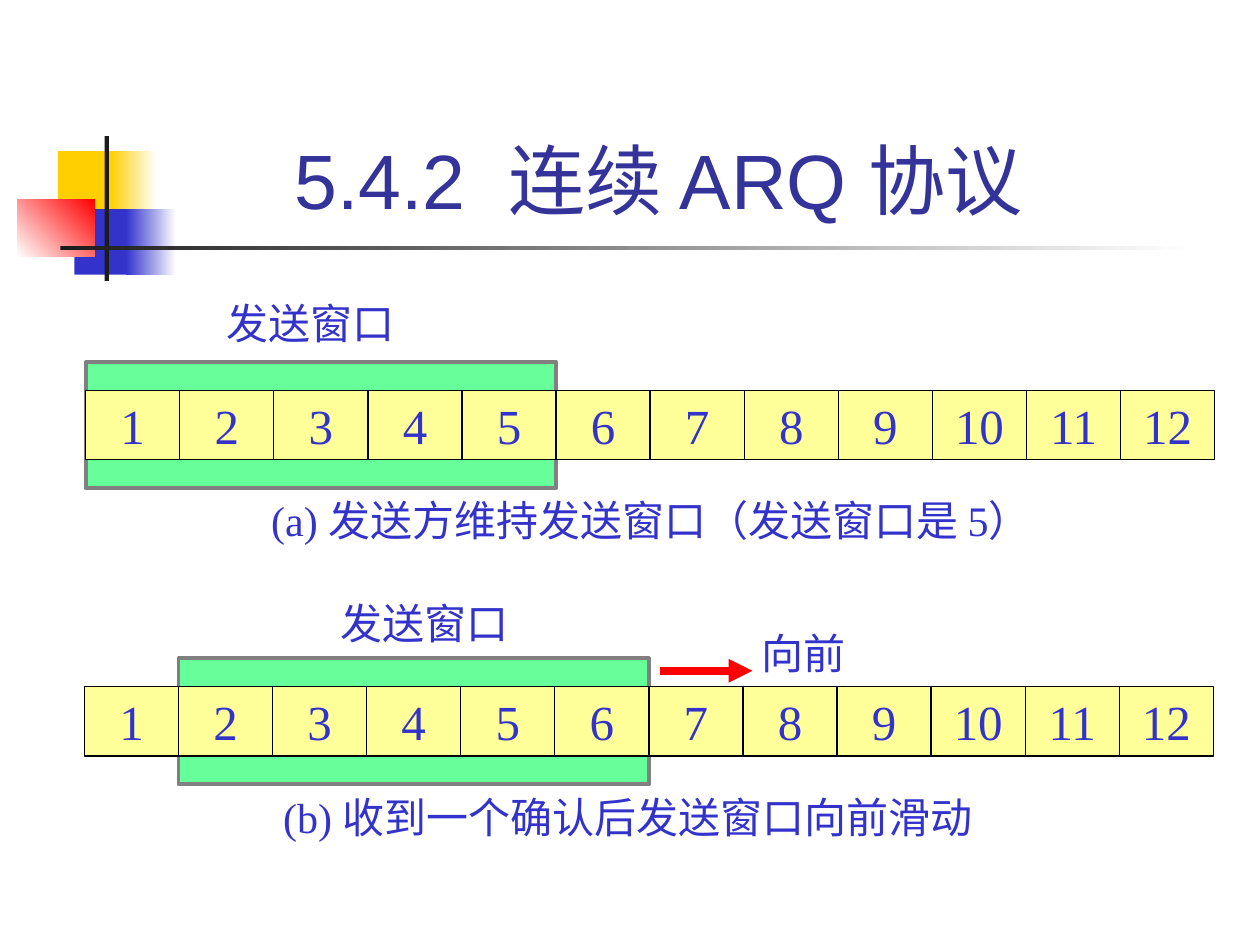
from dataclasses import dataclass
from typing import Any, Optional

import pptx
import pptx.dml.color
import pptx.enum.shapes
import pptx.enum.text
import pptx.oxml.ns
import pptx.util
from lxml import etree

RGBColor = pptx.dml.color.RGBColor
BLACK = RGBColor(0x00, 0x00, 0x00)
WHITE = RGBColor(0xFF, 0xFF, 0xFF)
CHARCOAL = RGBColor(0x1C, 0x1C, 0x1C)
GREY = RGBColor(0x80, 0x80, 0x80)
GOLD = RGBColor(0xFF, 0xCF, 0x01)
RED = RGBColor(0xFF, 0x00, 0x00)
BLUE = RGBColor(0x33, 0x33, 0xCC)
NAVY = RGBColor(0x33, 0x33, 0x99)
GREEN = RGBColor(0x66, 0xFF, 0x99)
YELLOW = RGBColor(0xFF, 0xFF, 0x99)

SLIDE_WIDTH = pptx.util.Inches(10)
SLIDE_HEIGHT = pptx.util.Inches(7.5)
FRAME_COUNT = 12
WINDOW_SIZE = 5
COLUMN = pptx.util.Inches(8.96) // FRAME_COUNT
ROW = pptx.util.Inches(0.55)
WINDOW_TOP = -0.41
WINDOW_ROWS = 1.82
LABEL_ROWS = 0.91


@dataclass(frozen=True)
class Area:
    left: int
    top: int
    width: int
    height: int


@dataclass(frozen=True)
class Ornament:
    """A title decoration, placed in percent of the slide's size."""
    left: float
    top: float
    width: float
    height: float
    start: RGBColor
    end: Optional[RGBColor] = None
    angle: float = 0


@dataclass(frozen=True)
class Label:
    """A text placed in columns and rows from its strip's corner."""
    text: str
    column: float
    row: float
    columns: float


@dataclass(frozen=True)
class Strip:
    """A row of numbered frames with a sending window behind it."""
    left: float
    top: float
    window_start: int
    labels: tuple[Label, ...]

    def x(self, column: float) -> int:
        return int(pptx.util.Inches(self.left) + column * COLUMN)

    def y(self, row: float) -> int:
        return int(pptx.util.Inches(self.top) + row * ROW)

    def area(self, column: float, row: float, columns: float, rows: float) -> Area:
        return Area(self.x(column), self.y(row), int(columns * COLUMN), int(rows * ROW))


ORNAMENTS = (
    Ornament(4.6, 16, 4.8, 6.93, GOLD),
    Ornament(8.8, 16, 3.6, 6.93, GOLD, WHITE),
    Ornament(5.9, 22.13, 4.6, 6.93, BLUE),
    Ornament(10, 22.13, 4, 6.93, BLUE, WHITE),
    Ornament(1.4, 21.07, 6.1, 6.13, WHITE, RED, 45),
    Ornament(8.3, 14.4, 0.35, 15.33, CHARCOAL),
    Ornament(4.8, 26, 90, 0.45, CHARCOAL, WHITE),
)

STRIPS = (
    Strip(0.68, 3.1, 0, (
        Label("发送窗口", 1.37, -1.44, 2.05),
        Label("(a) 发送方维持发送窗口（发送窗口是 5）", 1.84, 1.41, 8.67),
    )),
    Strip(0.67, 5.45, 1, (
        Label("发送窗口", 2.59, -1.38, 2.05),
        Label("(b) 收到一个确认后发送窗口向前滑动", 1.98, 1.42, 7.7),
        Label("向前", 7.07, -0.95, 1.18),
    )),
)


def add_rectangle(page: Any, area: Area) -> Any:
    rectangle = page.shapes.add_shape(
        pptx.enum.shapes.MSO_SHAPE.RECTANGLE,
        area.left, area.top, area.width, area.height)
    rectangle.shadow.inherit = False
    return rectangle


def add_panel(page: Any, area: Area, fill: RGBColor, outline: RGBColor, weight: float) -> None:
    panel = add_rectangle(page, area)
    panel.fill.solid()
    panel.fill.fore_color.rgb = fill
    panel.line.color.rgb = outline
    panel.line.width = pptx.util.Pt(weight)


def add_ornament(page: Any, ornament: Ornament) -> None:
    shape = add_rectangle(page, Area(
        int(SLIDE_WIDTH * ornament.left / 100), int(SLIDE_HEIGHT * ornament.top / 100),
        int(SLIDE_WIDTH * ornament.width / 100), int(SLIDE_HEIGHT * ornament.height / 100)))
    shape.line.fill.background()
    if ornament.end is None:
        shape.fill.solid()
        shape.fill.fore_color.rgb = ornament.start
        return
    shape.fill.gradient()
    shape.fill.gradient_angle = ornament.angle
    for stop, color in zip(shape.fill.gradient_stops, (ornament.start, ornament.end)):
        stop.color.rgb = color


def add_text(page: Any, area: Area, text: str, size: float, centred: bool = False) -> None:
    box = page.shapes.add_textbox(area.left, area.top, area.width, area.height)
    frame = box.text_frame
    frame.word_wrap = False
    para = frame.paragraphs[0]
    para.text = text
    para.font.name = "Times New Roman"
    para.font.size = pptx.util.Pt(size)
    para.font.color.rgb = BLUE
    if centred:
        frame.vertical_anchor = pptx.enum.text.MSO_ANCHOR.MIDDLE
        para.alignment = pptx.enum.text.PP_ALIGN.CENTER
    else:
        frame.auto_size = pptx.enum.text.MSO_AUTO_SIZE.SHAPE_TO_FIT_TEXT


def add_line(page: Any, start: tuple[int, int], end: tuple[int, int],
             color: RGBColor, weight: float, arrow: bool = False) -> None:
    line = page.shapes.add_connector(pptx.enum.shapes.MSO_CONNECTOR.STRAIGHT, *start, *end)
    line.line.color.rgb = color
    line.line.width = pptx.util.Pt(weight)
    if arrow:
        outline = line.line._get_or_add_ln()
        etree.SubElement(outline, pptx.oxml.ns.qn("a:tailEnd"), type="triangle")
    etree.SubElement(line._element.spPr, pptx.oxml.ns.qn("a:effectLst"))


def add_strip(page: Any, strip: Strip) -> None:
    window = strip.area(strip.window_start, WINDOW_TOP, WINDOW_SIZE, WINDOW_ROWS)
    add_panel(page, window, GREEN, GREY, 2.25)
    add_panel(page, strip.area(0, 0, FRAME_COUNT, 1), YELLOW, BLACK, 0.75)
    for index in range(FRAME_COUNT):
        add_text(page, strip.area(index, 0, 1, 1), str(index + 1), 28, centred=True)
    for column in range(1, FRAME_COUNT):
        add_line(page, (strip.x(column), strip.y(0)), (strip.x(column), strip.y(1)), BLACK, 0.75)
    for label in strip.labels:
        area = strip.area(label.column, label.row, label.columns, LABEL_ROWS)
        add_text(page, area, label.text, 24)


def set_title(page: Any, text: str) -> None:
    title = page.shapes.title
    title.left, title.top = int(SLIDE_WIDTH * 0.126), int(SLIDE_HEIGHT * 0.032)
    title.width, title.height = int(SLIDE_WIDTH * 0.807), int(SLIDE_HEIGHT * 0.213)
    frame = title.text_frame
    frame.auto_size = pptx.enum.text.MSO_AUTO_SIZE.NONE
    frame.vertical_anchor = pptx.enum.text.MSO_ANCHOR.BOTTOM
    frame.margin_right = pptx.util.Inches(0.24)
    para = frame.paragraphs[0]
    para.text = text
    para.alignment = pptx.enum.text.PP_ALIGN.CENTER
    para.font.name = "Arial"
    para.font.size = pptx.util.Pt(44)
    para.font.color.rgb = NAVY


def main() -> None:
    deck = pptx.Presentation()
    deck.slide_width, deck.slide_height = SLIDE_WIDTH, SLIDE_HEIGHT
    page = deck.slides.add_slide(deck.slide_layouts.get_by_name("Title Only"))
    for ornament in ORNAMENTS:
        add_ornament(page, ornament)
    set_title(page, "5.4.2  连续 ARQ 协议")
    for strip in STRIPS:
        add_strip(page, strip)
    moved = STRIPS[1]
    add_line(page, (moved.x(6.12), moved.y(-0.23)), (moved.x(7.1), moved.y(-0.23)),
             RED, 4.5, arrow=True)
    deck.save("out.pptx")


if __name__ == "__main__":
    main()
